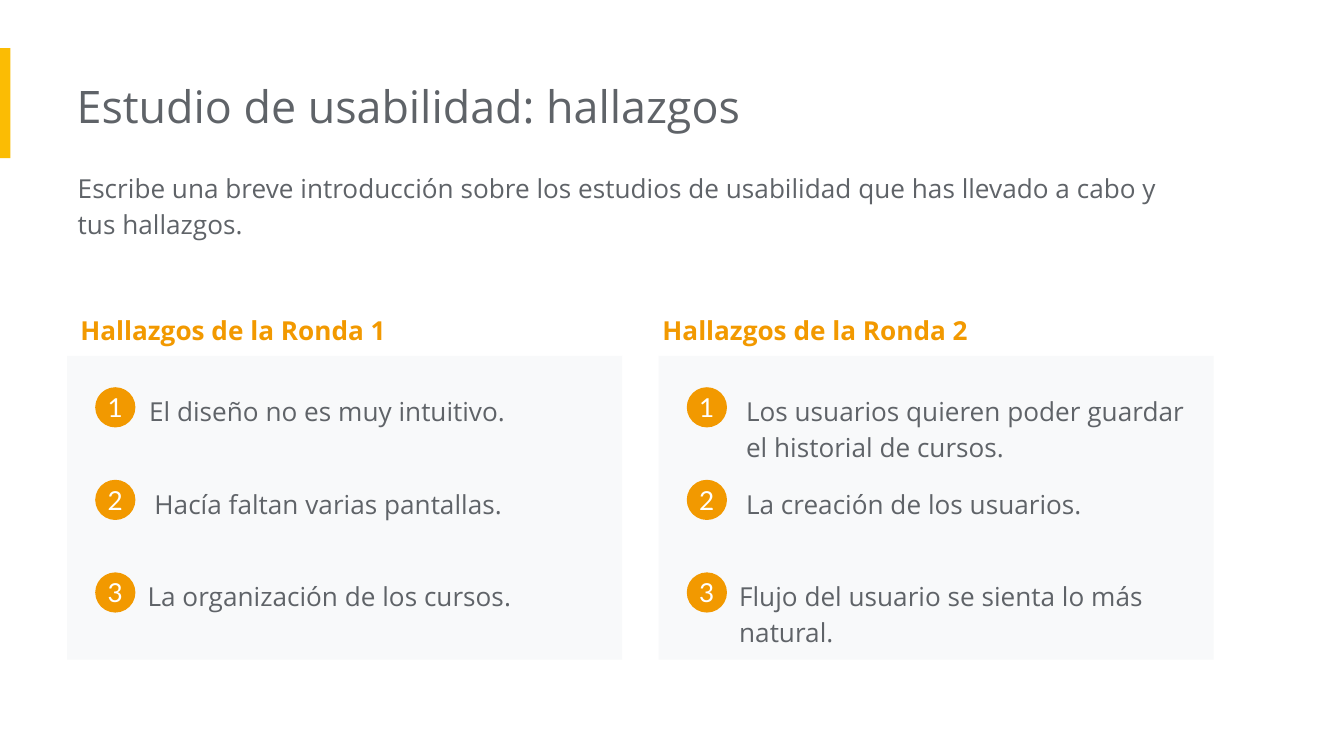
from dataclasses import dataclass

from pptx import Presentation
from pptx.dml.color import RGBColor
from pptx.enum.shapes import MSO_SHAPE
from pptx.enum.text import MSO_ANCHOR, PP_ALIGN
from pptx.shapes.autoshape import Shape
from pptx.slide import Slide
from pptx.util import Cm, Pt

YELLOW, ORANGE = "FBBC04", "F29900"
GRAY, PALE, WHITE = "5F6368", "F8F9FA", "FFFFFF"

PANEL_TOP, PANEL_WIDTH, PANEL_HEIGHT = 6.73, 10.49, 5.74
HEADING_TOP = 5.61
TEXT_WIDTH = 9.27
FIRST_FINDING_TOP, FINDING_STEP = 7.14, 1.75
BADGE_SIZE, BADGE_INDENT, BADGE_DROP = 0.76, 0.53, 0.18
PADDING = 0.25

BODY = {"name": "Open Sans", "size": Pt(14), "bold": False}
TITLE = BODY | {"size": Pt(24)}
HEADING = BODY | {"bold": True}
NUMBER = BODY | {"name": "Lato"}


@dataclass(frozen=True)
class Box:
    """Position and size in centimetres."""
    left: float
    top: float
    width: float
    height: float

    def lengths(self) -> tuple[Cm, Cm, Cm, Cm]:
        return Cm(self.left), Cm(self.top), Cm(self.width), Cm(self.height)


@dataclass(frozen=True)
class Finding:
    text: str
    indent: float
    height: float = 1.19


@dataclass(frozen=True)
class Round:
    heading: str
    left: float
    heading_left: float
    findings: tuple[Finding, ...]


ROUNDS = (
    Round("Hallazgos de la Ronda 1", 1.27, 1.27, (
        Finding("El diseño no es muy intuitivo.", 1.3),
        Finding("Hacía faltan varias pantallas.", 1.4),
        Finding("La organización de los cursos.", 1.27),
    )),
    Round("Hallazgos de la Ronda 2", 12.45, 12.27, (
        Finding("Los usuarios quieren poder guardar el historial de cursos.", 1.4, 1.88),
        Finding("La creación de los usuarios.", 1.4),
        Finding("Flujo del usuario se sienta lo más natural.", 1.27, 1.88),
    )),
)


def color(value: str) -> RGBColor:
    return RGBColor.from_string(value)


def write(shape: Shape, text: str, style: dict, font_color: str,
          margins: tuple[float, float, float, float], line_spacing: float = 1.0) -> None:
    """Fill the text frame; margins run left, top, right, bottom."""
    frame = shape.text_frame
    frame.word_wrap = True
    for side, margin in zip(("left", "top", "right", "bottom"), margins):
        setattr(frame, f"margin_{side}", Cm(margin))
    paragraph = frame.paragraphs[0]
    paragraph.line_spacing = line_spacing
    run = paragraph.add_run()
    run.text = text
    for attribute, value in style.items():
        setattr(run.font, attribute, value)
    run.font.color.rgb = color(font_color)


def add_text(slide: Slide, box: Box, text: str, style: dict = BODY,
             font_color: str = GRAY, left_margin: float = PADDING,
             line_spacing: float = 1.15) -> None:
    shape = slide.shapes.add_textbox(*box.lengths())
    write(shape, text, style, font_color,
          (left_margin, PADDING, PADDING, PADDING), line_spacing)


def add_filled(slide: Slide, kind: MSO_SHAPE, box: Box, fill: str) -> Shape:
    shape = slide.shapes.add_shape(kind, *box.lengths())
    shape.shadow.inherit = False
    shape.fill.solid()
    shape.fill.fore_color.rgb = color(fill)
    shape.line.fill.background()
    return shape


def add_badge(slide: Slide, left: float, top: float, number: int) -> None:
    badge = add_filled(slide, MSO_SHAPE.OVAL, Box(left, top, BADGE_SIZE, BADGE_SIZE), ORANGE)
    write(badge, str(number), NUMBER, WHITE, (0, 0, 0, 0))
    badge.text_frame.vertical_anchor = MSO_ANCHOR.MIDDLE
    badge.text_frame.paragraphs[0].alignment = PP_ALIGN.CENTER


def add_round(slide: Slide, study_round: Round) -> None:
    left = study_round.left
    add_filled(slide, MSO_SHAPE.RECTANGLE,
               Box(left, PANEL_TOP, PANEL_WIDTH, PANEL_HEIGHT), PALE)
    add_text(slide, Box(study_round.heading_left, HEADING_TOP, TEXT_WIDTH, 1.12),
             study_round.heading, HEADING, ORANGE)
    for index, finding in enumerate(study_round.findings):
        top = FIRST_FINDING_TOP + index * FINDING_STEP
        add_text(slide, Box(left + finding.indent, top, TEXT_WIDTH, finding.height),
                 finding.text)
        add_badge(slide, left + BADGE_INDENT, top + BADGE_DROP, index + 1)


def main() -> None:
    presentation = Presentation()
    presentation.slide_width, presentation.slide_height = Cm(25.4), Cm(14.29)
    slide = presentation.slides.add_slide(presentation.slide_layouts[6])

    add_filled(slide, MSO_SHAPE.RECTANGLE, Box(0, 0.91, 0.2, 2.08), YELLOW)
    add_text(slide, Box(1.45, 1.24, 17.09, 1.55), "Estudio de usabilidad: hallazgos",
             TITLE, left_margin=0, line_spacing=1.0)
    add_text(slide, Box(1.47, 2.92, 20.88, 2.57),
             "Escribe una breve introducción sobre los estudios de usabilidad "
             "que has llevado a cabo y tus hallazgos.", left_margin=0)
    for study_round in ROUNDS:
        add_round(slide, study_round)

    presentation.save("out.pptx")


if __name__ == "__main__":
    main()
